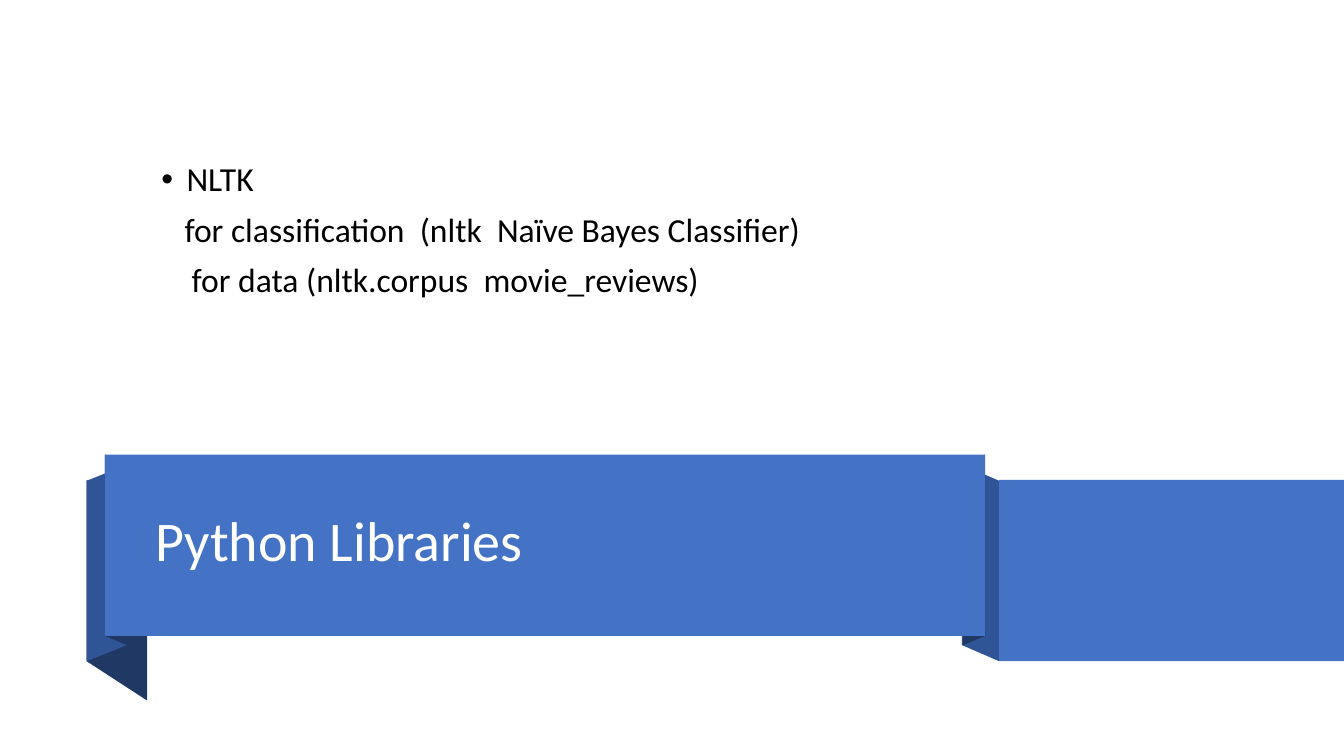
from dataclasses import dataclass

from lxml import etree
from pptx import Presentation
from pptx import util as u
from pptx.dml.color import RGBColor
from pptx.enum import shapes, text
from pptx.oxml.ns import qn

PX = 9144  # EMU per px, 100 px to the inch


@dataclass(frozen=True)
class Theme:
    font: str = "Calibri"
    title_size: int = 40
    body_size: int = 24
    band: str = "4472C4"
    fold: str = "2F5597"
    shade: str = "203864"
    title: str = "FFFFFF"
    body: str = "000000"


THEME = Theme()


def px(n):
    return u.Emu(n * PX)


def set_all(obj, values):
    for name, value in values.items():
        setattr(obj, name, value)


def paint(sp, color):
    sp.shadow.inherit = False
    sp.fill.solid()
    sp.fill.fore_color.rgb = RGBColor.from_string(color)
    sp.line.fill.background()


def add_band(s, x, y, w, h):
    sp = s.shapes.add_shape(shapes.MSO_SHAPE.RECTANGLE, px(x), px(y), px(w), px(h))
    paint(sp, THEME.band)


def add_fold(s, x1, y1, x2, y2, height, color):
    """Slanted strip with upright sides, from (x1, y1) to (x2, y2) at the top."""
    builder = s.shapes.build_freeform(x1, y1, scale=PX)
    builder.add_line_segments([(x2, y2), (x2, y2 + height), (x1, y1 + height)])
    paint(builder.convert_to_shape(), color)


def place(sp, x, y, w, h):
    set_all(sp, {"left": px(x), "top": px(y), "width": px(w), "height": px(h)})
    set_all(sp.text_frame, {
        "word_wrap": True,
        "auto_size": text.MSO_AUTO_SIZE.NONE,
        "vertical_anchor": text.MSO_ANCHOR.MIDDLE,
    })
    # Bring the placeholder in front of the ribbon
    sp.element.getparent().append(sp.element)


def write(p, words, size, color, before=0):
    set_all(p, {
        "alignment": text.PP_ALIGN.LEFT,
        "line_spacing": 0.9,
        "space_before": u.Pt(before),
    })
    r = p.add_run()
    r.text = words
    set_all(r.font, {"name": THEME.font, "size": u.Pt(size)})
    r.font.color.rgb = RGBColor.from_string(color)


def set_bullet(p, left, hanging=0, char=None):
    pPr = p._p.get_or_add_pPr()
    pPr.set("marL", str(px(left)))
    pPr.set("indent", str(px(-hanging)))
    if char:
        etree.SubElement(pPr, qn("a:buFont")).set("typeface", "Arial")
        etree.SubElement(pPr, qn("a:buChar")).set("char", char)
    else:
        etree.SubElement(pPr, qn("a:buNone"))


def add_ribbon(s):
    # Folds, from back to front
    for fold in [
        (86, 476, 146, 515, 180, THEME.shade),
        (86, 477, 126, 461, 179, THEME.fold),
        (104, 451, 126, 460, 180, THEME.shade),
        (991, 477, 954, 461, 179, THEME.fold),
        (977, 451, 955, 460, 180, THEME.shade),
    ]:
        add_fold(s, *fold)
    # Front band and the tail that runs off to the right
    add_band(s, 104, 451, 873, 180)
    add_band(s, 991, 476, 342, 180)


def add_title(s, words):
    sp = s.shapes.title
    place(sp, 144, 473, 815, 133)
    write(sp.text_frame.paragraphs[0], words, THEME.title_size, THEME.title)


def add_list(s, lines):
    sp = s.placeholders[1]
    place(sp, 150, 92, 827, 275)
    tf = sp.text_frame
    for i, (words, bullet) in enumerate(lines):
        p = tf.add_paragraph() if i else tf.paragraphs[0]
        write(p, words, THEME.body_size, THEME.body, before=10)
        set_bullet(p, **bullet)


def main():
    prs = Presentation()
    set_all(prs, {"slide_width": px(1333), "slide_height": px(750)})
    s = prs.slides.add_slide(prs.slide_layouts[1])

    add_ribbon(s)
    add_title(s, "Python Libraries")
    add_list(s, [
        ("NLTK", {"left": 25, "hanging": 25, "char": "•"}),
        ("for classification  (nltk  Naïve Bayes Classifier)", {"left": 23}),
        ("for data (nltk.corpus  movie_reviews)", {"left": 30}),
    ])
    prs.save("out.pptx")


if __name__ == "__main__":
    main()
